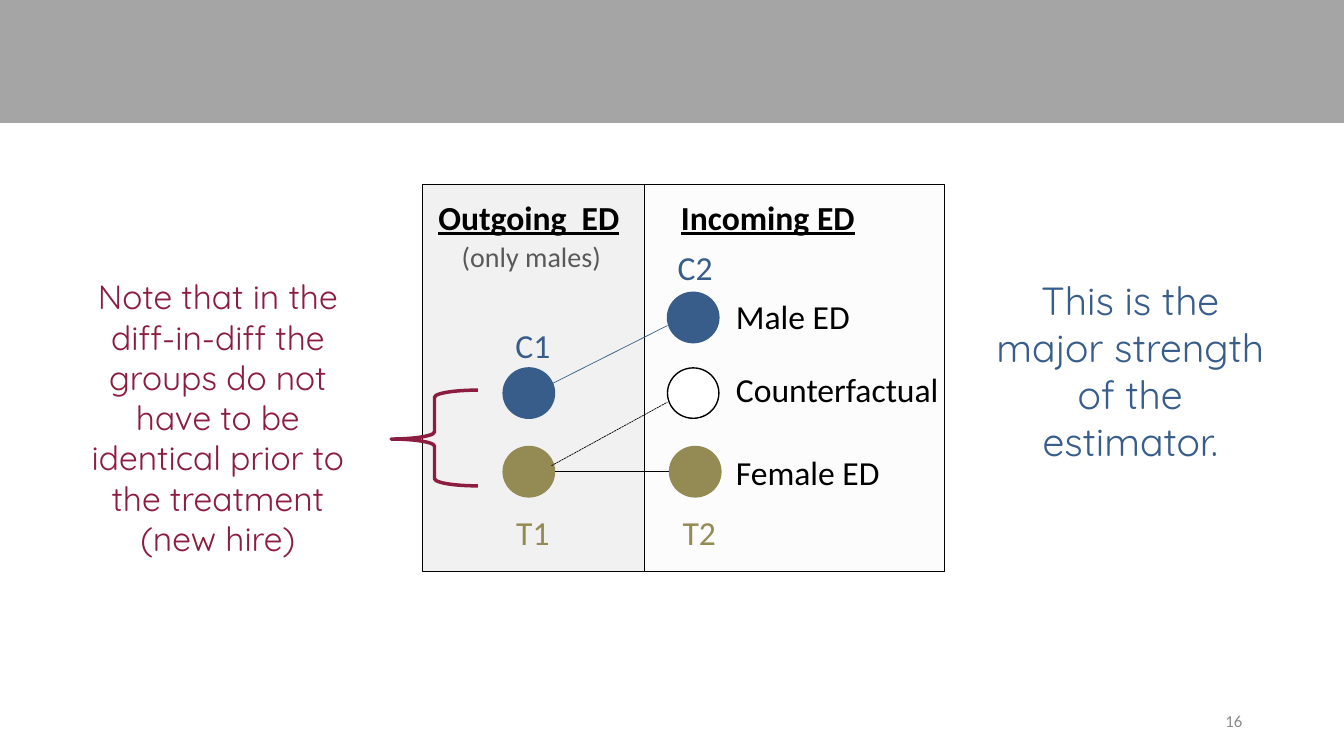
from dataclasses import dataclass

import pptx
import pptx.dml.color
import pptx.enum.dml
import pptx.enum.shapes
import pptx.enum.text
import pptx.oxml.ns
import pptx.oxml.xmlchemy
import pptx.util

Inches = pptx.util.Inches
Pt = pptx.util.Pt
SHAPE = pptx.enum.shapes.MSO_SHAPE
ALIGN = pptx.enum.text.PP_ALIGN
ANCHOR = pptx.enum.text.MSO_ANCHOR


@dataclass(frozen=True)
class Theme:
    body_font: str = "Calibri"
    note_font: str = "Quicksand"
    control: str = "385D8A"
    treated: str = "948A54"
    accent: str = "8C1D40"
    ink: str = "000000"
    paper: str = "FFFFFF"
    band: str = "A5A5A5"
    outgoing: str = "BFBFBF"
    incoming: str = "F2F2F2"
    muted: str = "595959"
    number: str = "8C8C8C"
    panel_opacity: int = 21
    strong: int = 28
    normal: int = 24
    small: int = 20
    tiny: int = 12
    outline: float = 1
    link: float = 0.5
    brace: float = 2.5


THEME = Theme()


def rgb(color):
    return pptx.dml.color.RGBColor.from_string(color)


def add_shape(s, kind, box, fill=None, line=None, weight=THEME.outline, opacity=None):
    sp = s.shapes.add_shape(kind, *map(Inches, box))
    sp.shadow.inherit = False
    if fill:
        sp.fill.solid()
        sp.fill.fore_color.rgb = rgb(fill)
    else:
        sp.fill.background()
    if opacity:
        color = sp._element.spPr.find(".//" + pptx.oxml.ns.qn("a:srgbClr"))
        alpha = pptx.oxml.xmlchemy.OxmlElement("a:alpha")
        alpha.set("val", str(opacity * 1000))
        color.append(alpha)
    if line:
        sp.line.color.rgb = rgb(line)
        sp.line.width = Pt(weight)
    else:
        sp.line.fill.background()
    return sp


def add_text(s, box, text, color, size=THEME.normal, font=THEME.body_font,
             align=ALIGN.CENTER, wrap=True, heading=False, anchor=ANCHOR.TOP):
    tf = s.shapes.add_textbox(*map(Inches, box)).text_frame
    tf.word_wrap = wrap
    tf.vertical_anchor = anchor
    tf.text = text
    p = tf.paragraphs[0]
    p.alignment = align
    r = p.runs[0]
    r.font.name = font
    r.font.size = Pt(size)
    r.font.color.rgb = rgb(color)
    if heading:
        r.font.bold = r.font.underline = True


def add_link(s, start, end, color, dashed=False):
    cn = s.shapes.add_connector(pptx.enum.shapes.MSO_CONNECTOR.STRAIGHT,
                                *map(Inches, start + end))
    cn.line.color.rgb = rgb(color)
    cn.line.width = Pt(THEME.link)
    if dashed:
        cn.line.dash_style = pptx.enum.dml.MSO_LINE.SQUARE_DOT
    cn._element.spPr.append(pptx.oxml.xmlchemy.OxmlElement("a:effectLst"))


def add_panels(s, left, top, width, height):
    """Draw the outgoing and incoming halves with their headings."""
    split = 2.2
    for x, w, fill in ((split, width - split, THEME.incoming), (0, split, THEME.outgoing)):
        add_shape(s, SHAPE.RECTANGLE, (left + x, top, w, height), fill, THEME.ink,
                  opacity=THEME.panel_opacity)
    for x, w, title in ((-0.02, 2.15, "Outgoing  ED"), (2.28, 2.29, "Incoming ED")):
        add_text(s, (left + x, top + 0.07, w, 0.5), title, THEME.ink, heading=True)
    add_text(s, (left + 0.25, top + 0.5, 1.66, 0.44), "(only males)", THEME.muted,
             THEME.small, wrap=False)


def add_diagram(s, left, top, width, height):
    """Draw the before-and-after groups, their links and the brace."""
    add_panels(s, left, top, width, height)
    before, after = left + 0.8, left + 2.43
    male, middle, female = top + 1.07, top + 1.82, top + 2.6
    dot_w, dot_h = 0.51, 0.5

    for x, y, fill, line in (
        (before, middle, THEME.control, THEME.control),
        (before, female, THEME.treated, THEME.treated),
        (after, male, THEME.control, THEME.control),
        (after, middle, THEME.paper, THEME.ink),
        (after + 0.02, female, THEME.treated, THEME.treated),
    ):
        add_shape(s, SHAPE.OVAL, (x, y, dot_w, dot_h), fill, line)

    for x, y, text, color in (
        (before + 0.02, middle - 0.48, "C1", THEME.control),
        (after, male - 0.5, "C2", THEME.control),
        (before + 0.02, female + 0.6, "T1", THEME.treated),
        (after + 0.04, female + 0.6, "T2", THEME.treated),
    ):
        add_text(s, (x, y, 0.55, 0.5), text, color, wrap=False)

    for y, text in ((male - 0.01, "Male ED"), (middle - 0.04, "Counterfactual"),
                    (female, "Female ED")):
        add_text(s, (after + 0.58, y, 2.29, 0.5), text, THEME.ink, align=ALIGN.LEFT)

    axis = female + dot_h / 2
    add_link(s, (before + 0.3, middle + 0.25), (after, male + 0.33), THEME.control)
    add_link(s, (before + dot_w, axis), (after + 0.02, axis), THEME.ink)
    add_link(s, (before + 0.48, axis - 0.06), (after, middle + 0.34), THEME.ink, dashed=True)

    brace = add_shape(s, SHAPE.LEFT_BRACE, (left - 0.31, top + 2.04, 0.86, 0.95),
                      line=THEME.accent, weight=THEME.brace)
    brace.adjustments[0] = 0.083
    brace.adjustments[1] = 0.511


def add_notes_beside(s, left, top, right):
    """Put one remark on each side of the diagram."""
    add_text(s, (left, top, 2.88, 2.93),
             "Note that in the diff-in-diff the groups do not have to be identical "
             "prior to the treatment (new hire)",
             THEME.accent, font=THEME.note_font)
    add_text(s, (right - 2.98, top, 2.98, 1.99),
             "This is the major strength of the estimator.",
             THEME.control, THEME.strong, THEME.note_font)


def main():
    prs = pptx.Presentation()
    prs.slide_width, prs.slide_height = Inches(13.33), Inches(7.5)
    s = prs.slides.add_slide(prs.slide_layouts[6])
    add_shape(s, SHAPE.RECTANGLE, (0, 0, 13.33, 1.22), THEME.band)
    add_diagram(s, 4.19, 1.83, 5.18, 3.84)
    add_notes_beside(s, 0.72, 2.69, 12.7)
    add_text(s, (9.42, 6.95, 3, 0.4), "16", THEME.number, THEME.tiny,
             align=ALIGN.RIGHT, anchor=ANCHOR.MIDDLE)
    prs.save("out.pptx")


if __name__ == "__main__":
    main()
